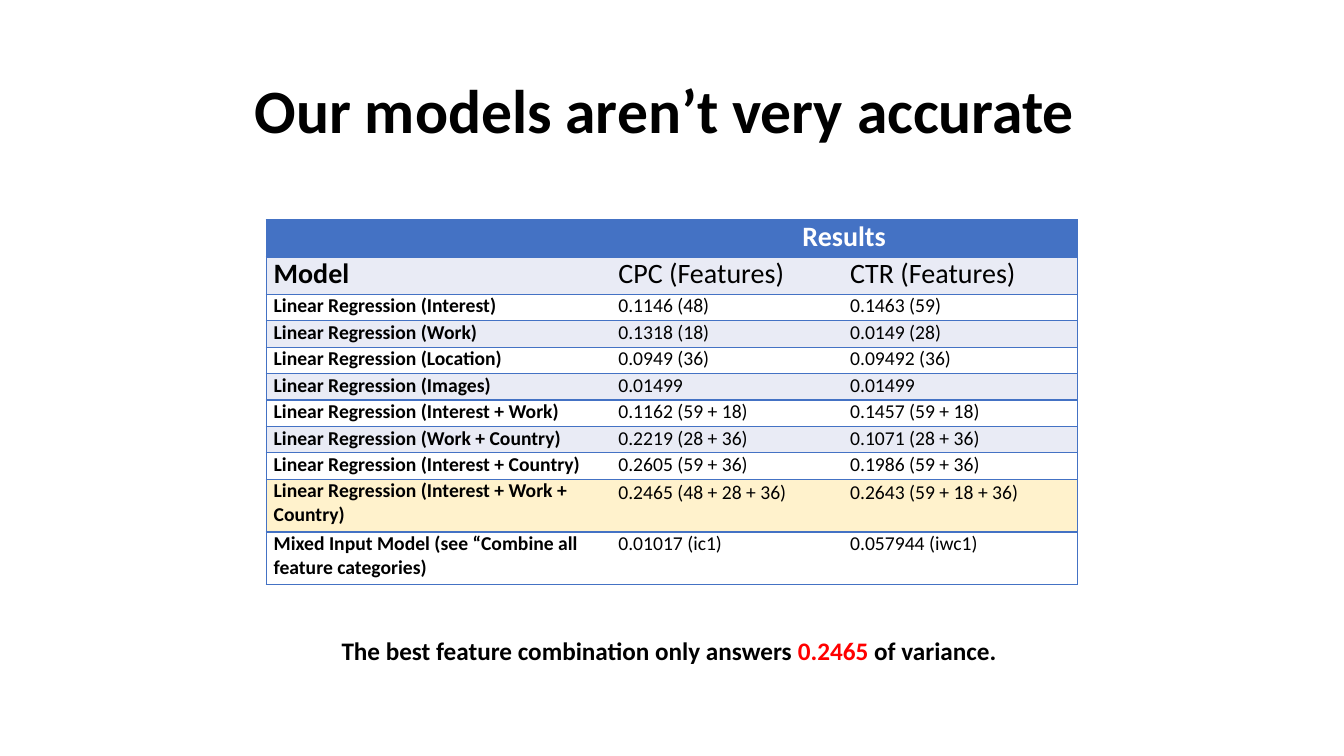
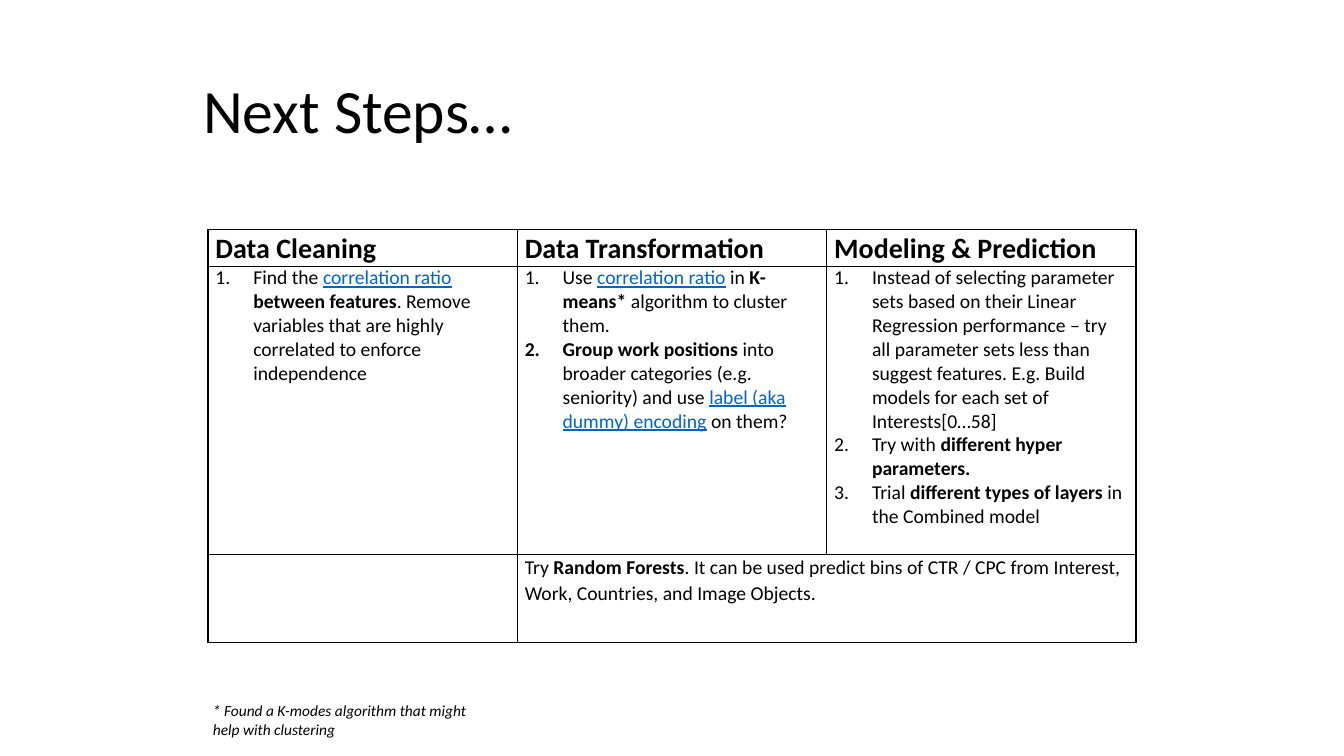
import dataclasses
from typing import NamedTuple, Optional

import pptx
import pptx.dml.color
import pptx.enum.text
import pptx.oxml
import pptx.oxml.ns
import pptx.util

Pt = pptx.util.Pt
Align = pptx.enum.text.PP_ALIGN
Anchor = pptx.enum.text.MSO_ANCHOR
AutoSize = pptx.enum.text.MSO_AUTO_SIZE

FONT = "Calibri"
BLACK, WHITE, RED = "000000", "FFFFFF", "FF0000"
BLUE, PALE_BLUE, CREAM, LINK = "4472C4", "E9EBF5", "FFF2CC", "0563C1"
PLAIN_TABLE_STYLE = "{2D5ABB26-0587-4C30-8999-92F81FD0307C}"
CELL_MARGIN = 5.4
NUMBER_INDENT = 27
LOOSE = 1.07


class Span(NamedTuple):
    text: str
    bold: bool = False
    color: str = BLACK
    underline: bool = False


class Area(NamedTuple):
    left: float
    top: float
    width: float
    height: float


@dataclasses.dataclass
class Cell:
    paragraphs: list[list[Span]] = dataclasses.field(default_factory=list)
    size: float = 14
    fill: Optional[str] = None
    align: Align = Align.LEFT
    spacing: float = 1.0
    numbered: bool = False


@dataclasses.dataclass
class Grid:
    left: float
    top: float
    widths: list[float]
    heights: list[float]
    rows: list[list[Cell]]
    merged_row: int
    line: str
    inner_verticals: bool


def bold(text: str, color: str = BLACK) -> Span:
    return Span(text, True, color)


def link(text: str) -> Span:
    return Span(text, color=LINK, underline=True)


def rgb(color: str) -> pptx.dml.color.RGBColor:
    return pptx.dml.color.RGBColor.from_string(color)


def add_run(para, text: str, *, size: float, color: str = BLACK, bold: bool = False,
            italic: bool = False, underline: bool = False) -> None:
    run = para.add_run()
    run.text = text
    font = run.font
    font.name, font.size = FONT, Pt(size)
    font.bold, font.italic, font.underline = bold, italic, underline
    font.color.rgb = rgb(color)


def number_paragraph(para) -> None:
    properties = para._p.get_or_add_pPr()
    properties.set("marL", str(Pt(NUMBER_INDENT)))
    properties.set("indent", str(-Pt(NUMBER_INDENT)))
    properties.append(pptx.oxml.parse_xml(
        f'<a:buAutoNum {pptx.oxml.ns.nsdecls("a")} type="arabicPeriod"/>'))


def write(frame, paragraphs: list[list[Span]], *, size: float, align: Align = Align.LEFT,
          spacing: float = 1.0, italic: bool = False, numbered: bool = False) -> None:
    for index, spans in enumerate(paragraphs):
        para = frame.add_paragraph() if index else frame.paragraphs[0]
        if numbered:
            number_paragraph(para)
        para.alignment, para.line_spacing = align, spacing
        para.space_before = para.space_after = Pt(0)
        for span in spans:
            add_run(para, span.text, size=size, color=span.color, bold=span.bold,
                    italic=italic, underline=span.underline)


def place(shape, area: Area) -> None:
    shape.left, shape.top, shape.width, shape.height = map(Pt, area)


def add_titled_page(deck, title: Span, align: Align, indent: float = 0):
    page = deck.slides.add_slide(deck.slide_layouts[5])
    place(page.shapes.title, Area(66, 28.75, 828, 104.4))
    frame = page.shapes.title.text_frame
    frame.auto_size, frame.vertical_anchor = AutoSize.NONE, Anchor.MIDDLE
    frame.margin_left = Pt(7.2 + indent)
    write(frame, [[title]], size=44, align=align, spacing=0.9)
    return page


def add_note(page, area: Area, spans: list[Span], *, size: float,
             align: Align = Align.LEFT, italic: bool = False) -> None:
    frame = page.shapes.add_textbox(*map(Pt, area)).text_frame
    frame.word_wrap, frame.auto_size = True, AutoSize.SHAPE_TO_FIT_TEXT
    write(frame, [spans], size=size, align=align, italic=italic)


def add_border(cell, side: str, color: str) -> None:
    """Draw one 1 pt edge; side is L, R, T or B, and must be given in that order."""
    cell._tc.get_or_add_tcPr().append(pptx.oxml.parse_xml(
        f'<a:ln{side} {pptx.oxml.ns.nsdecls("a")} w="{Pt(1)}"><a:solidFill>'
        f'<a:srgbClr val="{color}"/></a:solidFill></a:ln{side}>'))


def add_grid(page, grid: Grid) -> None:
    """Draw a table whose second and third cells are merged in one row."""
    row_count, column_count = len(grid.heights), len(grid.widths)
    area = Area(grid.left, grid.top, sum(grid.widths), sum(grid.heights))
    table = page.shapes.add_table(row_count, column_count, *map(Pt, area)).table
    table.first_row = table.horz_banding = False
    table._tbl.tblPr.find(pptx.oxml.ns.qn("a:tableStyleId")).text = PLAIN_TABLE_STYLE
    for column, width in zip(table.columns, grid.widths):
        column.width = Pt(width)
    for row, height in zip(table.rows, grid.heights):
        row.height = Pt(height)
    table.cell(grid.merged_row, 1).merge(table.cell(grid.merged_row, 2))
    for row in range(row_count):
        for column in range(column_count):
            cell = table.cell(row, column)
            cell.margin_left = cell.margin_right = Pt(CELL_MARGIN)
            cell.margin_top = cell.margin_bottom = Pt(0)
            cell.vertical_anchor = Anchor.TOP
            if column == 0 or grid.inner_verticals and not cell.is_spanned:
                add_border(cell, "L", grid.line)
            if column == column_count - 1 or grid.inner_verticals:
                add_border(cell, "R", grid.line)
            for side in "TB":
                add_border(cell, side, grid.line)
            if cell.is_spanned:
                continue
            content = grid.rows[row][column]
            if content.fill:
                cell.fill.solid()
                cell.fill.fore_color.rgb = rgb(content.fill)
            else:
                cell.fill.background()
            write(cell.text_frame, content.paragraphs, size=content.size, align=content.align,
                  spacing=content.spacing, numbered=content.numbered)


RESULTS = [
    ("Linear Regression (Interest)", "0.1146 (48)", "0.1463 (59)"),
    ("Linear Regression (Work)", "0.1318 (18)", "0.0149 (28)"),
    ("Linear Regression (Location)", "0.0949 (36)", "0.09492 (36)"),
    ("Linear Regression (Images)", "0.01499", "0.01499"),
    ("Linear Regression (Interest + Work)", "0.1162 (59 + 18)", "0.1457 (59 + 18)"),
    ("Linear Regression (Work + Country)", "0.2219 (28 + 36)", "0.1071 (28 + 36)"),
    ("Linear Regression (Interest + Country)", "0.2605 (59 + 36)", "0.1986 (59 + 36)"),
    ("Linear Regression (Interest + Work + Country)",
     "0.2465 (48 + 28 + 36)", "0.2643 (59 + 18 + 36)"),
    ("Mixed Input Model (see “Combine all feature categories)",
     "0.01017 (ic1)", "0.057944 (iwc1)"),
]
BEST_RESULT = 7

CLEANING = [
    [Span("Find the "), link("correlation ratio"), Span(" "), bold("between features"),
     Span(". Remove variables that are highly correlated to enforce independence")],
]
TRANSFORMATION = [
    [Span("Use "), link("correlation ratio"), Span(" in "), bold("K-means*"),
     Span(" algorithm to cluster them.")],
    [bold("Group work positions "), Span("into broader categories (e.g. seniority) and use "),
     link("label (aka dummy) encoding"), Span(" on them?")],
]
MODELING = [
    [Span("Instead of selecting parameter sets based on their Linear Regression performance "
          "– try all parameter sets less than suggest features. E.g. Build models for each "
          "set of Interests[0…58]")],
    [Span("Try with "), bold("different hyper parameters.")],
    [Span("Trial "), bold("different types of layers "), Span("in the Combined model")],
]
FORESTS = [
    [Span("Try "), bold("Random Forests"),
     Span(". It can be used predict bins of CTR / CPC from Interest, Work, Countries, "
          "and Image Objects.")],
]


def result_row(texts: tuple[str, str, str], fill: str, size: float = 14,
               value_spacing: float = 1.0) -> list[Cell]:
    model, *values = texts
    return [Cell([[bold(model)]], size, fill)] + [
        Cell([[Span(value)]], size, fill, spacing=value_spacing) for value in values]


def add_accuracy_page(deck) -> None:
    page = add_titled_page(deck, bold("Our models aren’t very accurate "), Align.CENTER)
    rows = [
        [Cell(fill=BLUE), Cell([[bold("Results", WHITE)]], 20, BLUE, Align.CENTER)],
        result_row(("Model", "CPC (Features)", "CTR (Features)"), PALE_BLUE, 20),
    ]
    for index, texts in enumerate(RESULTS):
        if index == BEST_RESULT:
            rows.append(result_row(texts, CREAM, value_spacing=LOOSE))
        else:
            rows.append(result_row(texts, PALE_BLUE if index % 2 else WHITE))
    heights = [26.6] * 2 + [18.9] * 7 + [37.7] * 2
    add_grid(page, Grid(190.1, 157, [246.2, 165.6, 167.8], heights, rows,
                        merged_row=0, line=BLUE, inner_verticals=False))
    add_note(page, Area(190.1, 450, 579.6, 29),
             [bold("The best feature combination only answers "), bold("0.2465", RED),
              bold(" of variance. ")], size=18, align=Align.CENTER)


def add_next_steps_page(deck) -> None:
    page = add_titled_page(deck, Span("Next Steps…"), Align.LEFT, indent=72)
    headings = ("Data Cleaning", "Data Transformation", "Modeling & Prediction")
    rows = [
        [Cell([[bold(heading)]], 20, spacing=LOOSE) for heading in headings],
        [Cell(steps, numbered=True) for steps in (CLEANING, TRANSFORMATION, MODELING)],
        [Cell(), Cell(FORESTS, spacing=LOOSE)],
    ]
    add_grid(page, Grid(148.5, 164, [221] * 3, [26.2, 205.8, 63], rows,
                        merged_row=2, line=BLACK, inner_verticals=True))
    add_note(page, Area(145, 497.5, 208.8, 34),
             [Span("* Found a K-modes algorithm that might help with clustering")],
             size=11, italic=True)


def main() -> None:
    deck = pptx.Presentation()
    deck.slide_width, deck.slide_height = Pt(960), Pt(540)
    add_accuracy_page(deck)
    add_next_steps_page(deck)
    deck.save("out.pptx")


if __name__ == "__main__":
    main()
